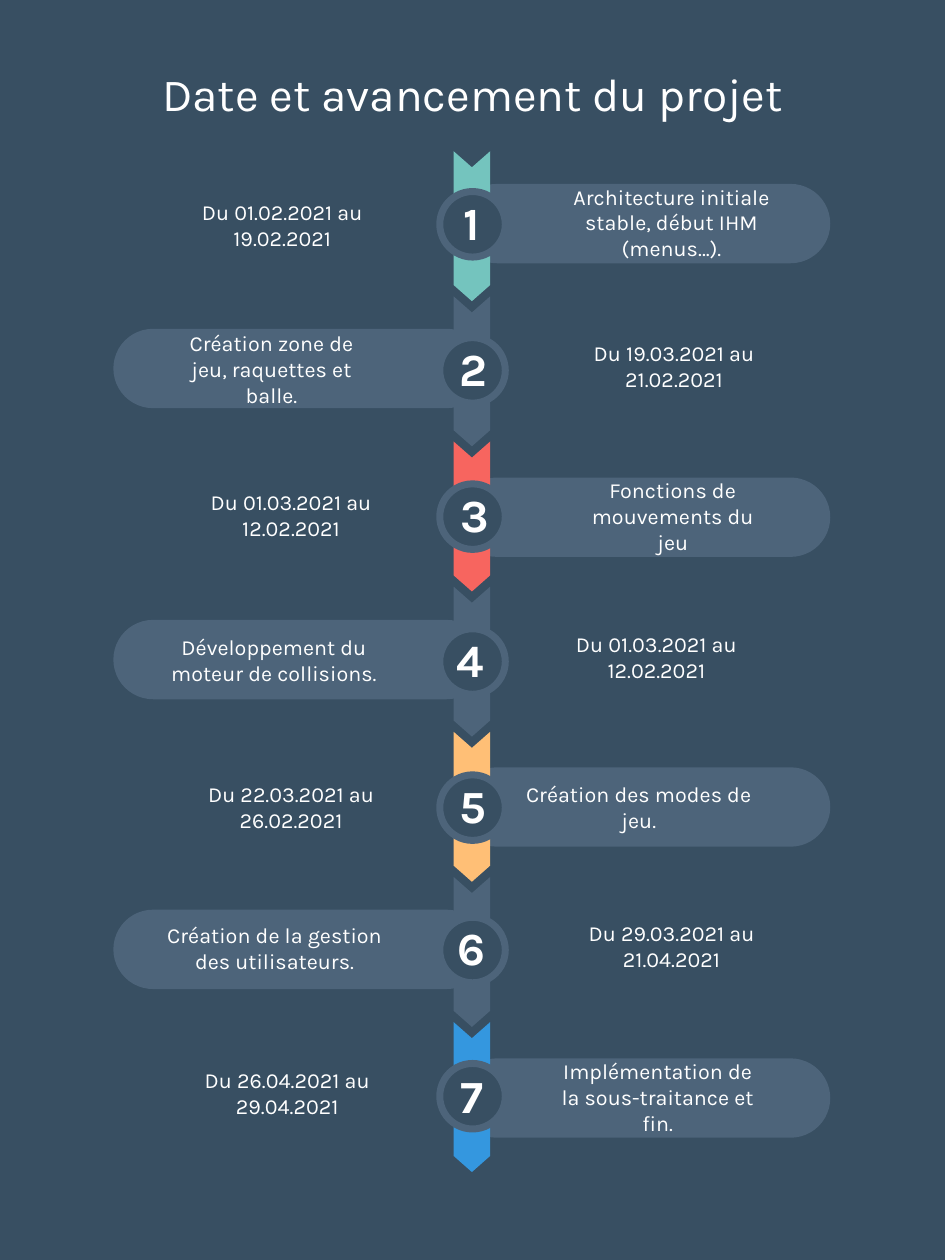
import pptx
import pptx.dml.color
import pptx.enum.shapes
import pptx.enum.text
import pptx.util
from collections import namedtuple

SHAPES = pptx.enum.shapes.MSO_SHAPE
COLUMNS, ROWS = 75, 100


def color(value):
    return pptx.dml.color.RGBColor.from_string(value)


class Timeline:
    font = "Karla"
    background = "384F62"
    panel = "4D647A"
    text_color = "FFFFFF"
    large, small = 26.3, 12.3

    def __init__(self, presentation):
        self.slide = presentation.slides.add_slide(presentation.slide_layouts[6])
        self.column = presentation.slide_width / COLUMNS
        self.row = presentation.slide_height / ROWS
        fill = self.slide.background.fill
        fill.solid()
        fill.fore_color.rgb = color(self.background)

    def box(self, left, top, width, height):
        return (round(left * self.column), round(top * self.row),
                round(width * self.column), round(height * self.row))

    def shape(self, kind, box, fill):
        shape = self.slide.shapes.add_shape(kind, *self.box(*box))
        shape.shadow.inherit = False
        shape.fill.solid()
        shape.fill.fore_color.rgb = color(fill)
        shape.line.fill.background()
        return shape

    def pill(self, left, top):
        shape = self.shape(SHAPES.ROUNDED_RECTANGLE, (left, top, 29.6, 6.3), self.panel)
        shape.adjustments[0] = 0.5

    def chevron(self, top, fill):
        shape = self.shape(SHAPES.CHEVRON, (31.5, top, 11.9, 2.9), fill)
        shape.adjustments[0] = 0.44
        shape.rotation = 90

    def circle(self, top):
        shape = self.shape(SHAPES.OVAL, (34.9, top, 5.2, 5.2), self.background)
        shape.line.color.rgb = color(self.panel)
        shape.line.width = pptx.util.Pt(4)

    def text(self, content, box, size, bold=False, spacing=None):
        frame = self.slide.shapes.add_textbox(*self.box(*box)).text_frame
        frame.word_wrap = True
        frame.vertical_anchor = pptx.enum.text.MSO_ANCHOR.MIDDLE
        frame.margin_left = frame.margin_right = 0
        frame.margin_top = frame.margin_bottom = 0
        paragraph = frame.paragraphs[0]
        paragraph.text = content
        paragraph.alignment = pptx.enum.text.PP_ALIGN.CENTER
        paragraph.line_spacing = spacing
        paragraph.font.name = self.font
        paragraph.font.size = pptx.util.Pt(size)
        paragraph.font.bold = bold
        paragraph.font.color.rgb = color(self.text_color)


Step = namedtuple("Step", "task task_box date date_at pill_top circle_top number_at fill")

STEPS = [
    Step("Architecture initiale stable, début IHM (menus…).", (43.4, 15.6, 19.8, 4.1),
         "Du 01.02.2021 au 19.02.2021", (12.5, 15.8), 14.6, 15.2, (35.3, 15.4), "74C4BE"),
    Step("Création zone de jeu, raquettes et balle.", (14, 27.2, 15.1, 4.1),
         "Du 19.03.2021 au 21.02.2021", (43.6, 27), 26.1, 26.8, (35.4, 27), Timeline.panel),
    Step("Fonctions de mouvements du jeu", (46.1, 38.9, 14.6, 4.1),
         "Du 01.03.2021 au 12.02.2021", (13.2, 38.8), 37.9, 38.4, (35.5, 38.6), "F7655F"),
    Step("Développement du moteur de collisions.", (12.4, 50.3, 18.7, 4.1),
         "Du 01.03.2021 au 12.02.2021", (42.2, 50.1), 49.2, 49.9, (35.2, 50.1), Timeline.panel),
    Step("Création des modes de jeu.", (41.2, 63, 19, 2.1),
         "Du 22.03.2021 au 26.02.2021", (13.2, 62), 60.9, 61.5, (35.4, 61.7), "FFBF76"),
    Step("Création de la gestion des utilisateurs.", (11.7, 73.2, 20.2, 4.1),
         "Du 29.03.2021 au 21.04.2021", (43.4, 73), 72.2, 72.8, (35.3, 73), Timeline.panel),
    Step("Implémentation de la sous-traitance et fin.", (44.1, 85, 16.2, 4.1),
         "Du 26.04.2021 au 29.04.2021", (12.9, 84.7), 84, 84.4, (35.3, 84.7), "3497DF"),
]


def main():
    presentation = pptx.Presentation()
    presentation.slide_width = pptx.util.Inches(7.5)
    presentation.slide_height = pptx.util.Inches(10)
    timeline = Timeline(presentation)
    timeline.text("Date et avancement du projet", (6.6, 6, 61.8, 3.6), timeline.large, spacing=0.8)
    for index, step in enumerate(STEPS):
        timeline.pill(9 if index % 2 else 36.3, step.pill_top)
        timeline.chevron(16.5 + 11.52 * index, step.fill)
        timeline.circle(step.circle_top)
        timeline.text(str(index + 1), (*step.number_at, 4.3, 4.4), timeline.large, bold=True)
        timeline.text(step.task, step.task_box, timeline.small)
        timeline.text(step.date, (*step.date_at, 19.8, 4.1), timeline.small)
    presentation.save("out.pptx")


if __name__ == "__main__":
    main()
